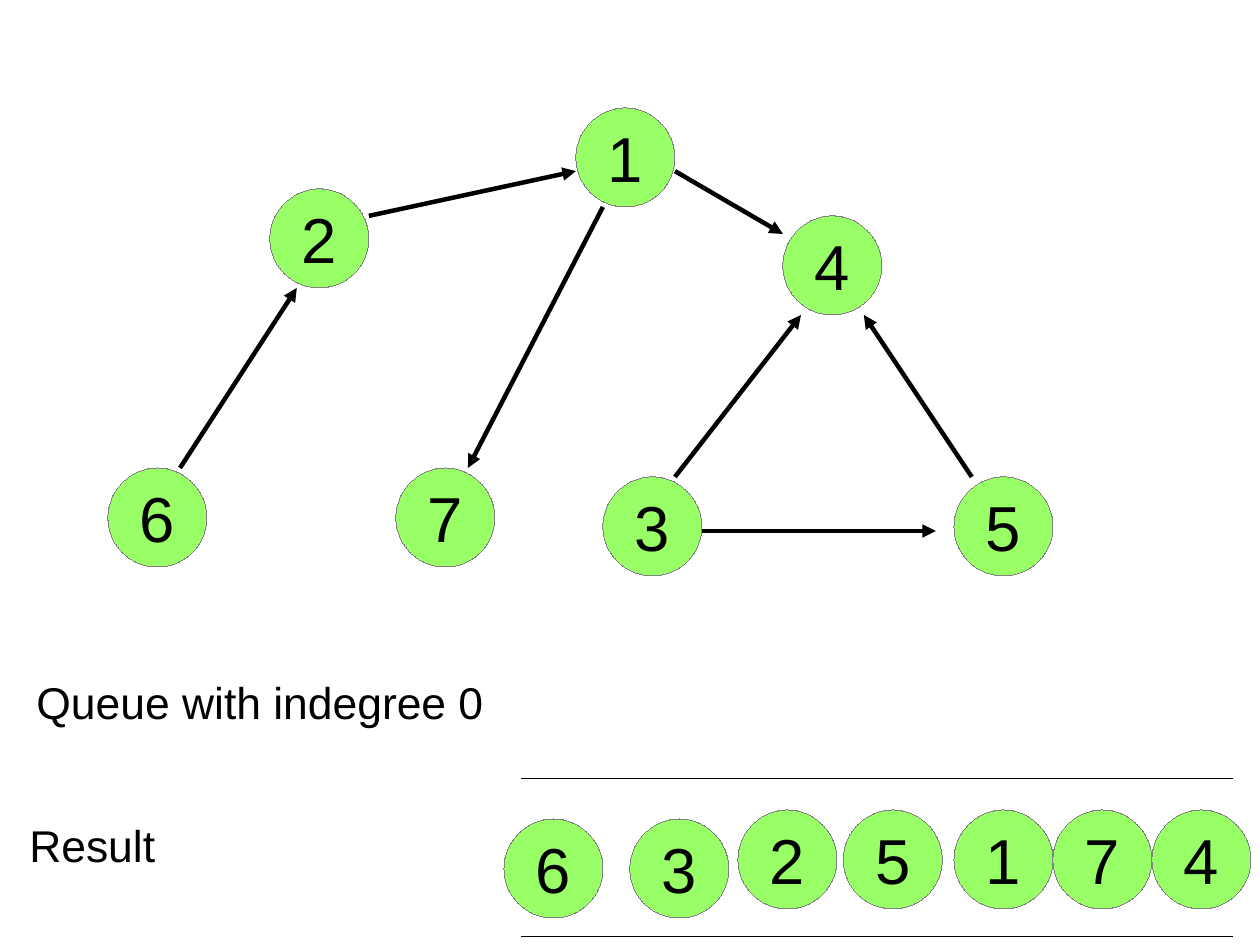
from dataclasses import dataclass

from lxml.etree import SubElement
from pptx import Presentation
from pptx.dml.color import RGBColor
from pptx.enum.shapes import MSO_CONNECTOR as LINE, MSO_SHAPE as SHAPE
from pptx.enum.text import MSO_ANCHOR as ANCHOR, MSO_AUTO_SIZE as AUTO, PP_ALIGN as ALIGN
from pptx.oxml.ns import qn
from pptx.util import Pt


@dataclass(frozen=True)
class Theme:
    font: str = "Arial"
    ink: RGBColor = RGBColor(0x00, 0x00, 0x00)
    node_fill: RGBColor = RGBColor(0x99, 0xFF, 0x66)
    node_line: RGBColor = RGBColor(0x80, 0x80, 0x80)
    node_size: float = 40
    label_size: float = 28
    hairline: float = 0.01
    arrow: float = 2.83


theme = Theme()
DIAMETER = 62.36

prs = Presentation()
prs.slide_width, prs.slide_height = Pt(793.75), Pt(595.25)
s = prs.slides.add_slide(prs.slide_layouts[6])


def write(sp, text, size, align, frame_format):
    tf = sp.text_frame
    for name, value in frame_format.items():
        setattr(tf, name, value)
    p = tf.paragraphs[0]
    p.alignment = align
    r = p.add_run()
    r.text = text
    for name, value in {"name": theme.font, "size": Pt(size)}.items():
        setattr(r.font, name, value)
    r.font.color.rgb = theme.ink


def draw_line(x1, y1, x2, y2, width):
    cx = s.shapes.add_connector(LINE.STRAIGHT, Pt(x1), Pt(y1), Pt(x2), Pt(y2))
    cx.line.color.rgb = theme.ink
    cx.line.width = Pt(width)
    SubElement(cx._element.spPr, qn("a:effectLst"))
    return cx


# Result row nodes, then graph nodes
result = [
    ("1", 601, 510.2), ("2", 464.9, 510.2), ("6", 317.5, 515.9), ("7", 663.3, 510.2),
    ("3", 396.8, 515.9), ("5", 531.3, 510.2), ("4", 725.7, 510.2),
]
graph = [
    ("1", 362.8, 68), ("2", 170, 119), ("6", 68, 294.8), ("7", 249.4, 294.8),
    ("3", 379.8, 300.4), ("5", 601, 300.4), ("4", 493.2, 136),
]
for text, x, y in result + graph:
    sp = s.shapes.add_shape(SHAPE.OVAL, Pt(x), Pt(y), Pt(DIAMETER), Pt(DIAMETER))
    sp.shadow.inherit = False
    sp.fill.solid()
    sp.fill.fore_color.rgb = theme.node_fill
    sp.line.color.rgb = theme.node_line
    sp.line.width = Pt(theme.hairline)
    write(sp, text, theme.node_size, ALIGN.CENTER,
          {"word_wrap": True, "vertical_anchor": ANCHOR.MIDDLE})

# Labels
for text, x, y, w in [
    ("Queue with indegree 0", 15.9, 421.9, 295.9),
    ("Result", 11.4, 511.9, 93.6),
]:
    sp = s.shapes.add_textbox(Pt(x), Pt(y), Pt(w), Pt(38.2))
    write(sp, text, theme.label_size, ALIGN.LEFT,
          {"word_wrap": False, "auto_size": AUTO.SHAPE_TO_FIT_TEXT})

# Rules below and above the result row
for y in (589.6, 490.4):
    draw_line(328.8, y, 776.7, y, theme.hairline)

# Directed edges
edges = [
    (232.4, 136, 362.8, 107.8),    # 2 to 1
    (425.2, 107.8, 493.2, 147.4),  # 1 to 4
    (425.2, 300.4, 504.6, 198.4),  # 3 to 4
    (612.2, 300.4, 544.2, 198.4),  # 5 to 4
    (442.2, 334.5, 589.6, 334.5),  # 3 to 5
    (379.8, 130.4, 294.8, 294.8),  # 1 to 7
    (113.4, 294.8, 187, 181.4),    # 6 to 2
]
for edge in edges:
    cx = draw_line(*edge, theme.arrow)
    SubElement(cx.line._get_or_add_ln(), qn("a:tailEnd"), type="triangle")

prs.save("out.pptx")
